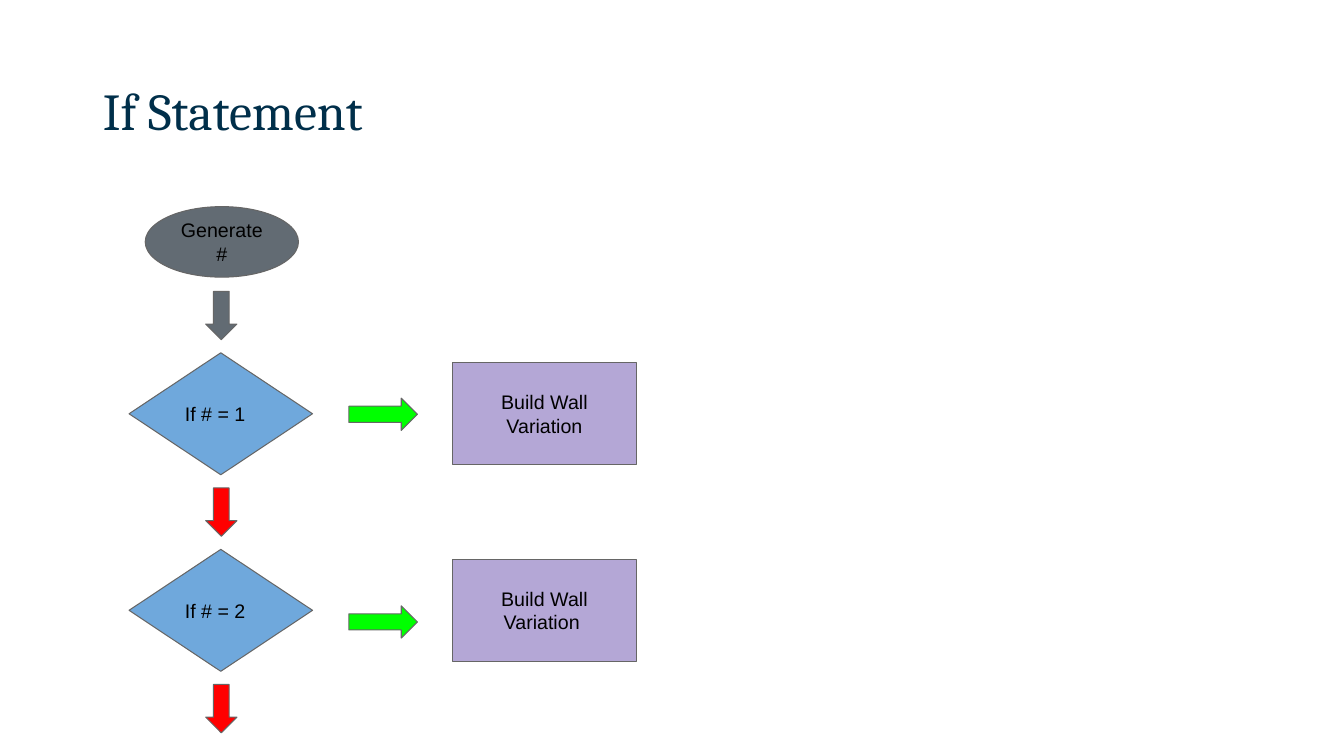
from pptx import Presentation
from pptx.dml.color import RGBColor
from pptx.enum.shapes import MSO_SHAPE as SHAPE
from pptx.enum.text import MSO_ANCHOR as ANCHOR, PP_ALIGN as ALIGN
from pptx.util import Pt

PX = 9144  # 100 px to the inch
GREY, BLUE, PURPLE = "626B73", "6FA8DC", "B4A7D6"
RED, GREEN, OUTLINE, BLACK, NAVY = "FF0000", "00FF00", "666666", "000000", "002F4A"
ROW_STEP = 195


def px(*lengths):
    return [n * PX for n in lengths]


def rgb(hex_color):
    return RGBColor.from_string(hex_color)


def set_text(sp, text, size, font, color, align, inset_y):
    tf = sp.text_frame
    tf.word_wrap = True
    tf.vertical_anchor = ANCHOR.MIDDLE
    tf.margin_left = tf.margin_right = 10 * PX
    tf.margin_top = tf.margin_bottom = inset_y * PX
    p = tf.paragraphs[0]
    p.text = text
    p.alignment = align
    p.font.size = Pt(size)
    p.font.name = font
    p.font.color.rgb = rgb(color)
    return p


def add_node(s, kind, box, fill, text="", align=ALIGN.CENTER):
    sp = s.shapes.add_shape(kind, *px(*box))
    sp.shadow.inherit = False
    sp.fill.solid()
    sp.fill.fore_color.rgb = rgb(fill)
    sp.line.color.rgb = rgb(OUTLINE)
    sp.line.width = Pt(0.75)
    if text:
        set_text(sp, text, 14, "Arial", BLACK, align, 10)


def add_title(s, box, text):
    sp = s.shapes.title
    sp.left, sp.top, sp.width, sp.height = px(*box)
    p = set_text(sp, text, 37, "Cambria", NAVY, ALIGN.LEFT, 5)
    p.line_spacing = 0.9


def add_start(s, x, y):
    add_node(s, SHAPE.OVAL, (x + 16, y, 152, 70), GREY, "Generate #")
    add_node(s, SHAPE.DOWN_ARROW, (x + 76, y + 84, 31, 48), GREY)


def add_test(s, x, y, test, action, yes_offset):
    """One decision with its yes branch to the right and its no branch below."""
    add_node(s, SHAPE.DIAMOND, (x, y, 182, 121), BLUE, test, ALIGN.LEFT)
    add_node(s, SHAPE.RIGHT_ARROW, (x + 218, y + yes_offset, 68, 32), GREEN)
    add_node(s, SHAPE.RECTANGLE, (x + 321, y + 10, 182, 101), PURPLE, action)
    add_node(s, SHAPE.DOWN_ARROW, (x + 76, y + 134, 31, 48), RED)


def main():
    prs = Presentation()
    prs.slide_width, prs.slide_height = px(1333, 750)
    s = prs.slides.add_slide(prs.slide_layouts[5])

    # Title
    add_title(s, (92, 40, 1150, 145), "If Statement")

    # Flowchart
    add_start(s, 128, 205)
    tests = [("If # = 1", "Build Wall Variation", 45),
             ("If # = 2", "Build Wall Variation ", 56)]
    for i, (test, action, yes_offset) in enumerate(tests):
        add_test(s, 128, 350 + i * ROW_STEP, test, action, yes_offset)

    prs.save("out.pptx")


if __name__ == "__main__":
    main()
